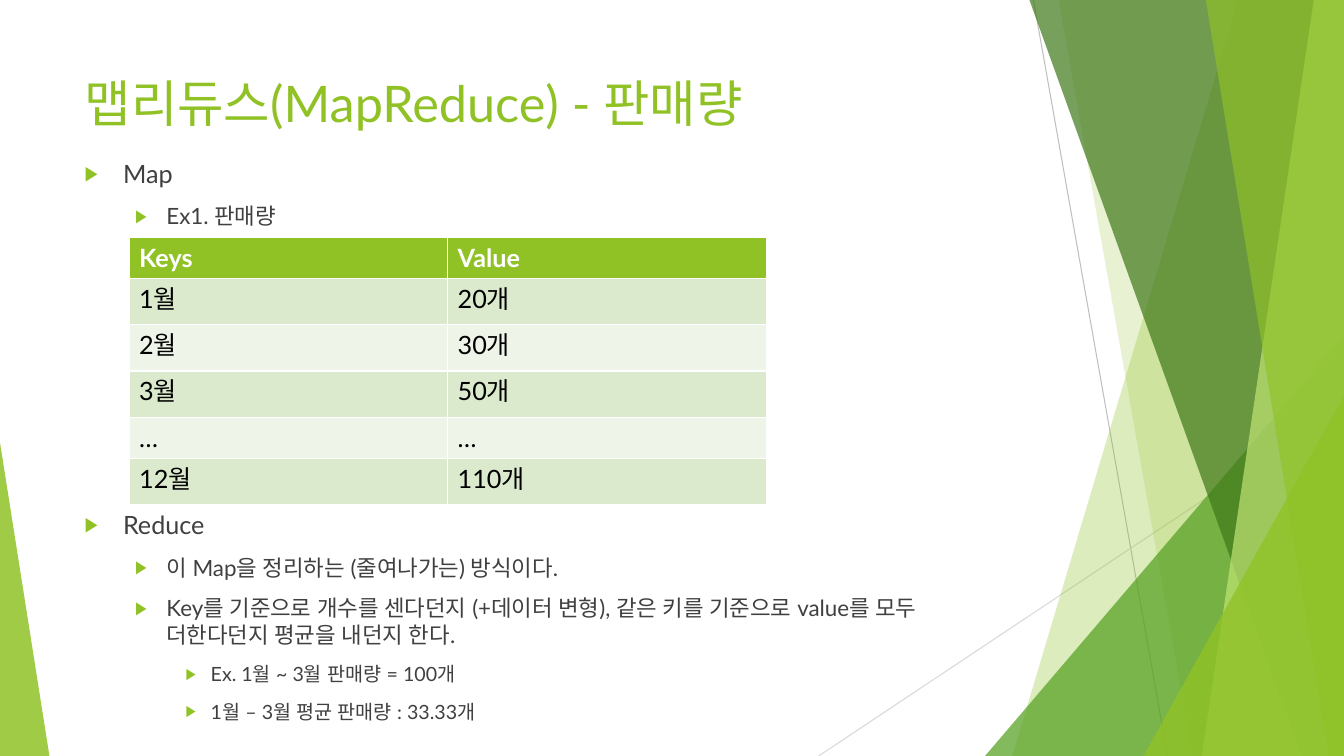
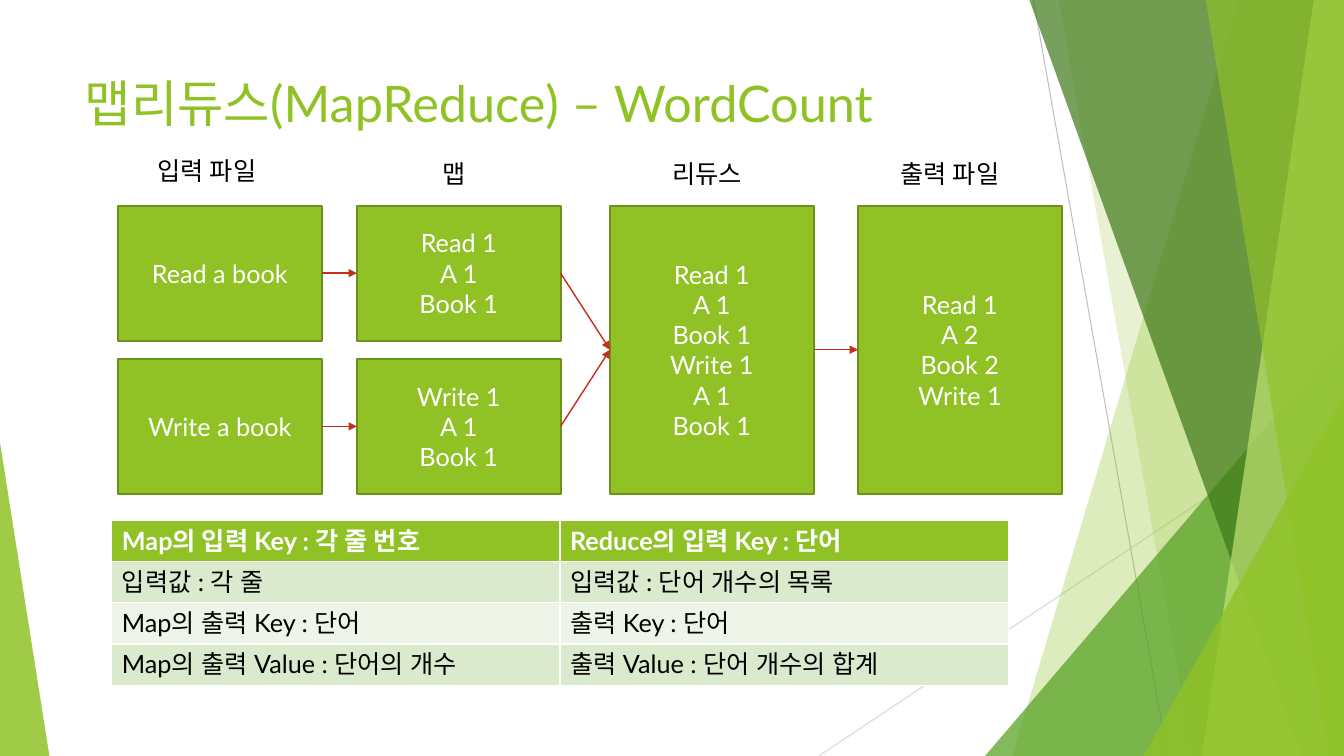
"""Build two slides on MapReduce: sales by month and a word count flow."""
import pptx
import pptx.dml.color
import pptx.enum.shapes
import pptx.enum.text
import pptx.oxml
import pptx.oxml.ns
import pptx.util
from lxml import etree

Inches = pptx.util.Inches
Pt = pptx.util.Pt
qn = pptx.oxml.ns.qn
PRESETS = pptx.enum.shapes.MSO_SHAPE
STRAIGHT = pptx.enum.shapes.MSO_CONNECTOR.STRAIGHT
ANCHOR = pptx.enum.text.MSO_ANCHOR
ALIGN = pptx.enum.text.PP_ALIGN

FONT = "Lato"
GREEN, EDGE, RED = "90C226", "6B901C", "C42F1A"
WHITE, BLACK, GREY = "FFFFFF", "000000", "404040"
BANDS = ("DBE9CD", "EEF4E8")
WIDTH, HEIGHT = 13.33, 7.5

RAYS = [
    ((10.25, 0), (11.58, HEIGHT), "BFBFBF"),
    ((WIDTH, 4.03), (8.12, HEIGHT), "D9D9D9"),
]
FACETS = [
    ("band", 12.28, 10.04, GREEN, 30),
    ("band", 10.5, 11.83, GREEN, 20),
    ("corner", 9.77, 3.33, "54A021", 72),
    ("band", 10.21, 12.91, "3F7819", 70),
    ("band", 13.03, 11.92, "C0E474", 70),
    ("band", 11.96, 13.18, GREEN, 65),
    ("corner", 11.34, 3.93, GREEN, 80),
]
LEFT_WEDGE = (0, 4.39, 0.49, 3.11)

SALES_TITLE = "맵리듀스(MapReduce) - 판매량"
SALES_POINTS = [
    (0, "Map", 10),
    (1, "Ex1. 판매량", 10),
    (0, "Reduce", 200),
    (1, "이 Map을 정리하는 (줄여나가는) 방식이다.", 10),
    (1, "Key를 기준으로 개수를 센다던지 (+데이터 변형), 같은 키를 기준으로 "
        "value를 모두 더한다던지 평균을 내던지 한다.", 10),
    (2, "Ex. 1월 ~ 3월 판매량 = 100개", 10),
    (2, "1월 – 3월 평균 판매량 : 33.33개", 10),
]
LEVELS = [(18, 0.38, 0.38), (16, 0.81, 0.31), (14, 1.25, 0.25)]
SALES = [
    ("Keys", "Value"),
    ("1월", "20개"),
    ("2월", "30개"),
    ("3월", "50개"),
    ("…", "…"),
    ("12월", "110개"),
]
SALES_ROWS = [0.39, 0.46, 0.46, 0.46, 0.41, 0.46]

COUNT_TITLE = "맵리듀스(MapReduce) – WordCount"
STAGES = [
    ("입력 파일", 1.46, 1.49),
    ("맵", 4.29, 1.52),
    ("리듀스", 6.57, 1.52),
    ("출력 파일", 8.83, 1.52),
]
STAGE_LEFTS = [1.17, 3.54, 6.05, 8.51]
STEP_WIDTH, STEP_HEIGHT, STEP_TOP, STEP_PITCH = 2.02, 1.34, 2.04, 1.52
STEPS = {
    "read": (0, 0, 1, ["Read a book"]),
    "write": (0, 1, 1, ["Write a book"]),
    "map read": (1, 0, 1, ["Read 1", "A 1", "Book 1"]),
    "map write": (1, 1, 1, ["Write 1", "A 1", "Book 1"]),
    "reduce": (2, 0, 2, ["Read 1", "A 1", "Book 1", "Write 1", "A 1", "Book 1"]),
    "output": (3, 0, 2, ["Read 1", "A 2", "Book 2", "Write 1"]),
}
FLOWS = [
    ("read", "map read"),
    ("write", "map write"),
    ("map read", "reduce"),
    ("map write", "reduce"),
    ("reduce", "output"),
]
KEY_VALUES = [
    ("Map의 입력 Key : 각 줄 번호", "Reduce의 입력 Key : 단어"),
    ("입력값 : 각 줄", "입력값 : 단어 개수의 목록"),
    ("Map의 출력 Key : 단어", "출력 Key : 단어"),
    ("Map의 출력 Value : 단어의 개수", "출력 Value : 단어 개수의 합계"),
]


def rgb(code):
    return pptx.dml.color.RGBColor.from_string(code)


def box(*lengths):
    return [Inches(length) for length in lengths]


def place(shape, *lengths):
    shape.left, shape.top, shape.width, shape.height = box(*lengths)


def style(paragraph, size, color, bold=False):
    for run in paragraph.runs:
        run.font.size = Pt(size)
        run.font.bold = bold
        run.font.name = FONT
        run.font.color.rgb = rgb(color)
        etree.SubElement(run.font._element, qn("a:ea"), typeface=FONT)


def paint(shape, color, opacity=100, edge=None):
    shape.shadow.inherit = False
    shape.fill.solid()
    shape.fill.fore_color.rgb = rgb(color)
    if opacity < 100:
        tint = shape.element.spPr.find(qn("a:solidFill"))[0]
        etree.SubElement(tint, qn("a:alpha"), val=str(opacity * 1000))
    if edge:
        shape.line.color.rgb = rgb(edge)
        shape.line.width = Pt(1.5)
    else:
        shape.line.fill.background()


def add_line(slide, start, end, color, width, arrow=False):
    line = slide.shapes.add_connector(STRAIGHT, *box(*start, *end))
    line.line.color.rgb = rgb(color)
    line.line.width = Pt(width)
    if arrow:
        stroke = line.element.spPr.find(qn("a:ln"))
        etree.SubElement(stroke, qn("a:tailEnd"), type="triangle")
    etree.SubElement(line.element.spPr, qn("a:effectLst"))
    return line


def add_triangle(slide, peak, frame, color, opacity):
    triangle = slide.shapes.add_shape(PRESETS.ISOSCELES_TRIANGLE, *box(*frame))
    triangle.adjustments[0] = peak
    paint(triangle, color, opacity)
    return triangle


def add_band(slide, top_x, bottom_x, color, opacity):
    outline = slide.shapes.build_freeform(*box(top_x, 0), scale=1.0)
    corners = [(WIDTH, 0), (WIDTH, HEIGHT), (bottom_x, HEIGHT)]
    outline.add_line_segments([box(*corner) for corner in corners], close=True)
    band = outline.convert_to_shape()
    paint(band, color, opacity)
    return band


def decorate(master, slide):
    facets = [add_line(slide, *ray, 0.75) for ray in RAYS]
    for kind, x, other, color, opacity in FACETS:
        if kind == "band":
            facets.append(add_band(slide, x, other, color, opacity))
        else:
            frame = (x, other, WIDTH - x, HEIGHT - other)
            facets.append(add_triangle(slide, 1, frame, color, opacity))
    facets.append(add_triangle(slide, 0, LEFT_WEDGE, GREEN, 85))
    for number, facet in enumerate(facets, 100):
        facet.element.xpath(".//p:cNvPr")[0].set("id", str(number))
        master.shapes.element.append(facet.element)


def add_slide(deck, layout, heading):
    slide = deck.slides.add_slide(deck.slide_layouts[layout])
    title = slide.shapes.title
    place(title, 0.74, 0.67, 9.4, 1.44)
    title.text_frame.text = heading
    title.text_frame.vertical_anchor = ANCHOR.TOP
    title.text_frame.auto_size = pptx.enum.text.MSO_AUTO_SIZE.NONE
    title.text_frame.paragraphs[0].alignment = ALIGN.LEFT
    style(title.text_frame.paragraphs[0], 36, GREEN)
    return slide


def add_points(body, points):
    place(body, 0.74, 1.52, 9.4, 5.61)
    frame = body.text_frame
    frame.auto_size = pptx.enum.text.MSO_AUTO_SIZE.NONE
    frame.text = "\n".join(text for _, text, _ in points)
    for paragraph, (level, _, gap) in zip(frame.paragraphs, points):
        size, margin, hang = LEVELS[level]
        paragraph.level = level
        paragraph.space_before = Pt(gap)
        style(paragraph, size, GREY)
        props = paragraph._p.get_or_add_pPr()
        props.set("marL", str(Inches(margin)))
        props.set("indent", str(-Inches(hang)))
        bullet_color = etree.SubElement(props, qn("a:buClr"))
        etree.SubElement(bullet_color, qn("a:srgbClr"), val=GREEN)
        etree.SubElement(props, qn("a:buSzPct"), val="80000")
        etree.SubElement(props, qn("a:buChar"), char="▶")


def add_grid(slide, rows, left, top, width, heights):
    frame = box(left, top, width, sum(heights))
    grid = slide.shapes.add_table(len(rows), len(rows[0]), *frame).table
    for r, texts in enumerate(rows):
        grid.rows[r].height = Inches(heights[r])
        for c, text in enumerate(texts):
            cell = grid.cell(r, c)
            cell.text_frame.text = text
            cell.fill.solid()
            cell.fill.fore_color.rgb = rgb(BANDS[(r - 1) % 2] if r else GREEN)
            color = BLACK if r else WHITE
            style(cell.text_frame.paragraphs[0], 18, color, bold=r == 0)


def add_stage(slide, text, left, top):
    label = slide.shapes.add_textbox(*box(left, top, 2.6, 0.4))
    label.text_frame.word_wrap = True
    label.text_frame.text = text
    style(label.text_frame.paragraphs[0], 18, BLACK)


def add_step(slide, column, row, span, lines):
    top = STEP_TOP + row * STEP_PITCH
    height = STEP_HEIGHT + (span - 1) * STEP_PITCH
    frame = box(STAGE_LEFTS[column], top, STEP_WIDTH, height)
    step = slide.shapes.add_shape(PRESETS.RECTANGLE, *frame)
    paint(step, GREEN, edge=EDGE)
    step.text_frame.text = "\n".join(lines)
    step.text_frame.vertical_anchor = ANCHOR.MIDDLE
    for paragraph in step.text_frame.paragraphs:
        paragraph.alignment = ALIGN.CENTER
        style(paragraph, 18, WHITE)
    return step


def main():
    deck = pptx.Presentation()
    deck.slide_width, deck.slide_height = box(WIDTH, HEIGHT)

    sales = add_slide(deck, 1, SALES_TITLE)
    decorate(deck.slide_master, sales)
    add_points(sales.placeholders[1], SALES_POINTS)
    add_grid(sales, SALES, 1.28, 2.36, 6.32, SALES_ROWS)

    count = add_slide(deck, 5, COUNT_TITLE)
    for stage in STAGES:
        add_stage(count, *stage)
    steps = {name: add_step(count, *step) for name, step in STEPS.items()}
    for source, target in FLOWS:
        arrow = add_line(count, (0, 0), (1, 1), RED, 1, arrow=True)
        arrow.begin_connect(steps[source], 3)
        arrow.end_connect(steps[target], 1)
    add_grid(count, KEY_VALUES, 1.11, 5.16, 8.89, [0.41] * len(KEY_VALUES))

    deck.save("out.pptx")


if __name__ == "__main__":
    main()
